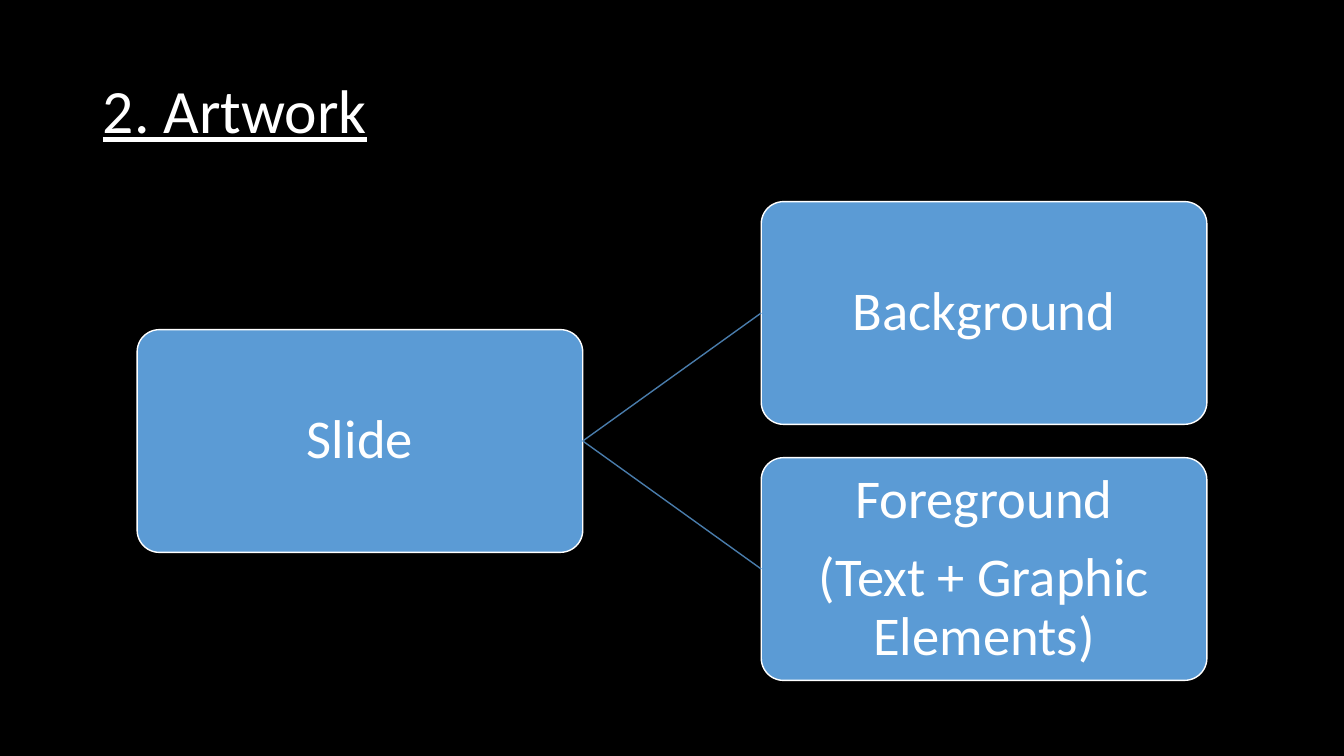
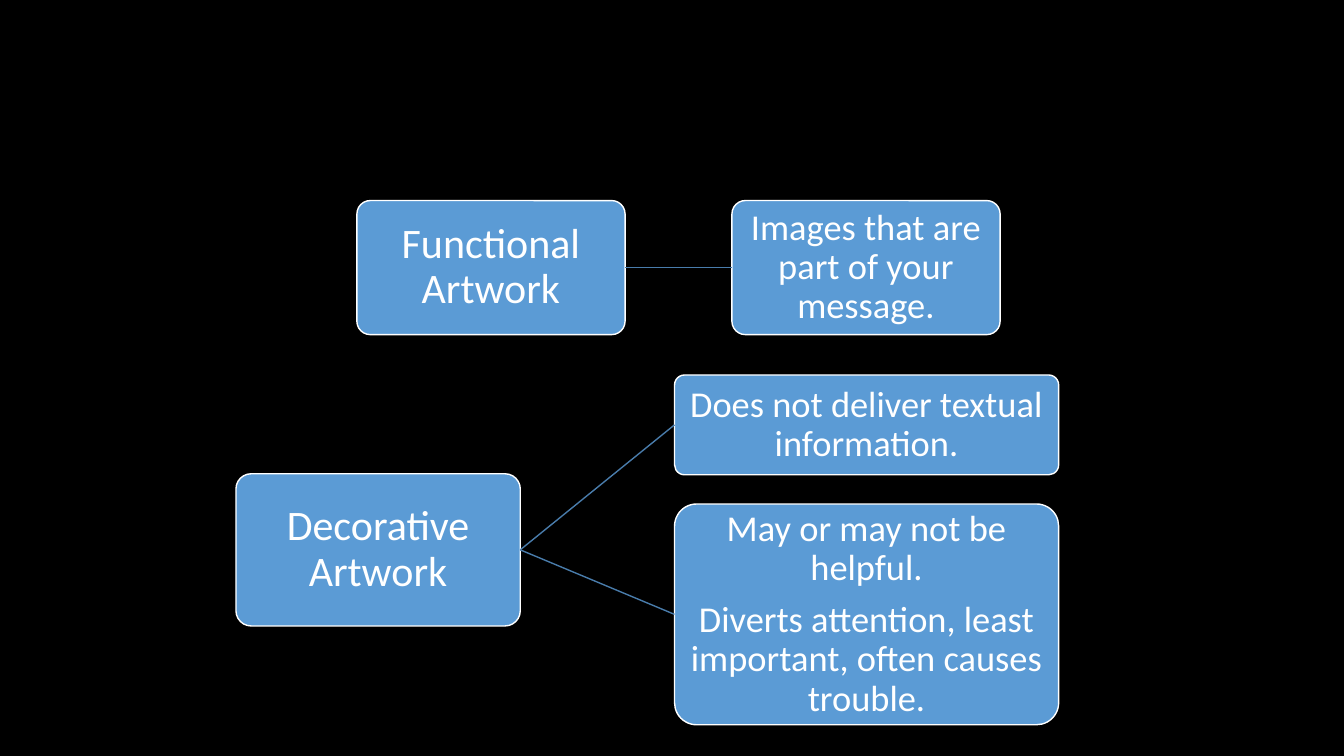
from lxml.etree import SubElement
from pptx import Presentation
from pptx.dml.color import RGBColor
from pptx.enum.shapes import MSO_CONNECTOR as Link, MSO_SHAPE as Shape
from pptx.enum.text import MSO_ANCHOR as Anchor, MSO_AUTO_SIZE as Fit, PP_ALIGN as Align
from pptx.oxml.ns import qn
from pptx.util import Inches, Pt

BLACK = RGBColor(0, 0, 0)
WHITE = RGBColor(255, 255, 255)
BLUE = RGBColor(0x5B, 0x9B, 0xD5)
STEEL = RGBColor(0x49, 0x7C, 0xAB)
FONT = "Calibri"

SLIDES = [
    {
        "title": "2. Artwork",
        "pad": 0.03,
        "sizes": (39, 39),
        "trees": [
            (("Slide", (1.36, 3.27, 4.42, 2.21)), [
                ("Background", (7.55, 2, 4.42, 2.21)),
                ("Foreground\n(Text + Graphic Elements)", (7.55, 4.54, 4.42, 2.21)),
            ]),
        ],
    },
    {
        "title": None,
        "pad": 0.02,
        "sizes": (30, 26),
        "trees": [
            (("Functional Artwork", (3.54, 1.99, 2.66, 1.33)), [
                ("Images that are part of your message.", (7.26, 1.99, 2.66, 1.33)),
            ]),
            (("Decorative Artwork", (2.34, 4.7, 2.82, 1.51)), [
                ("Does not deliver textual information.", (6.69, 3.72, 3.81, 0.99)),
                ("May or may not be helpful.\n"
                 "Diverts attention, least important, often causes trouble.",
                 (6.69, 5, 3.81, 2.19)),
            ]),
        ],
    },
]


def style(frame, size, align, after=0, under=None):
    frame.word_wrap = True
    frame.auto_size = Fit.NONE
    frame.vertical_anchor = Anchor.MIDDLE
    for para in frame.paragraphs:
        para.alignment = align
        para.line_spacing = 0.9
        para.space_after = Pt(after)
        for run in para.runs:
            font = run.font
            font.name = FONT
            font.size = Pt(size)
            font.color.rgb = WHITE
            font.underline = under


def add_title(slide, text):
    title = slide.shapes.title
    title.left, title.top = Inches(0.92), Inches(0.4)
    title.width, title.height = Inches(11.5), Inches(1.45)
    title.text_frame.text = text
    style(title.text_frame, 44, Align.LEFT, under=True)


def add_box(slide, node, size, pad):
    text, place = node
    box = slide.shapes.add_shape(Shape.ROUNDED_RECTANGLE, *map(Inches, place))
    box.adjustments[0] = 0.1
    box.shadow.inherit = False
    box.fill.solid()
    box.fill.fore_color.rgb = BLUE
    box.line.color.rgb = WHITE
    box.line.width = Pt(1)
    frame = box.text_frame
    frame.margin_left = frame.margin_right = Inches(pad)
    frame.margin_top = frame.margin_bottom = Inches(pad)
    frame.text = text
    style(frame, size, Align.CENTER, after=0.35 * size)
    return box


def join(slide, start, end):
    line = slide.shapes.add_connector(Link.STRAIGHT, 0, 0, 0, 0)
    line.begin_connect(start, 3)
    line.end_connect(end, 1)
    line.line.color.rgb = STEEL
    line.line.width = Pt(1)
    SubElement(line.element.spPr, qn("a:effectLst"))


def add_tree(slide, tree, sizes, pad):
    root, leaves = tree
    start = add_box(slide, root, sizes[0], pad)
    for leaf in leaves:
        join(slide, start, add_box(slide, leaf, sizes[1], pad))


def main():
    deck = Presentation()
    deck.slide_width, deck.slide_height = Inches(13.33), Inches(7.5)
    back = deck.slide_master.background.fill
    back.solid()
    back.fore_color.rgb = BLACK
    for page in SLIDES:
        layout = deck.slide_layouts[5 if page["title"] else 6]
        slide = deck.slides.add_slide(layout)
        if page["title"]:
            add_title(slide, page["title"])
        for tree in page["trees"]:
            add_tree(slide, tree, page["sizes"], page["pad"])
    deck.save("out.pptx")


if __name__ == "__main__":
    main()
